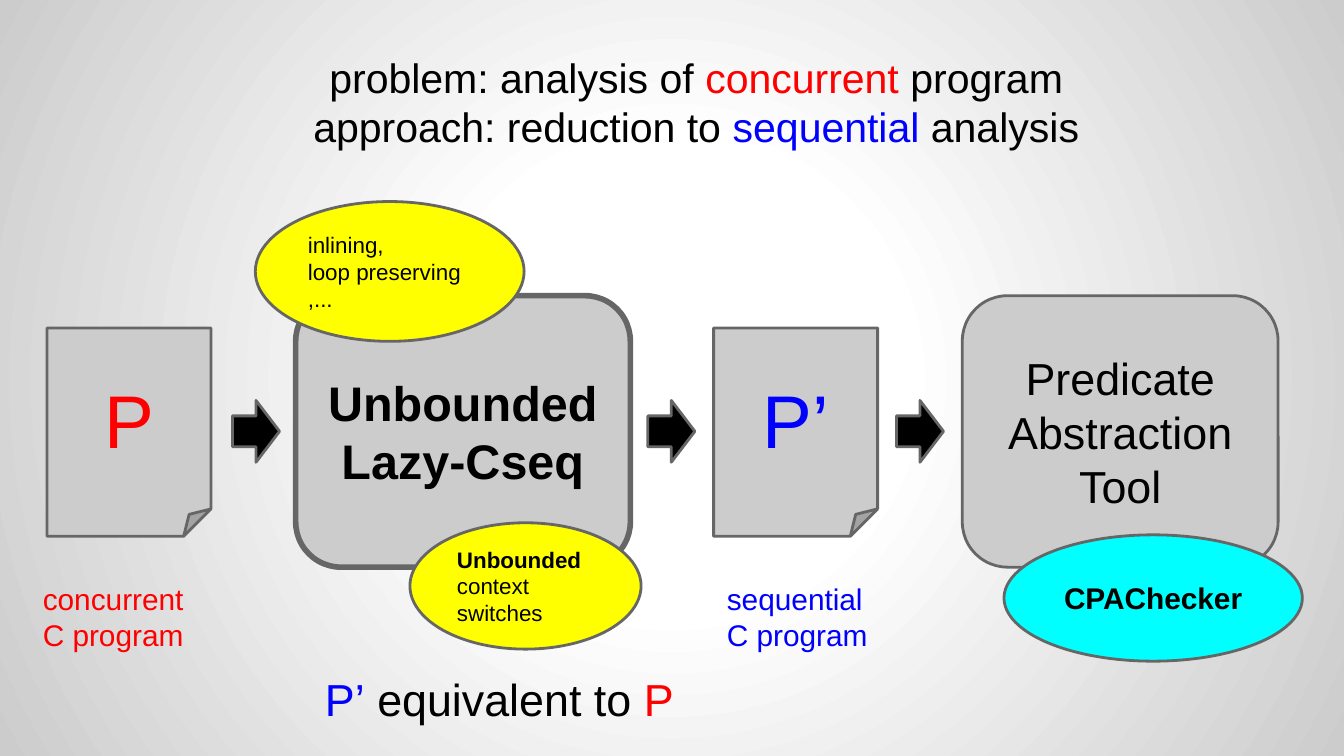
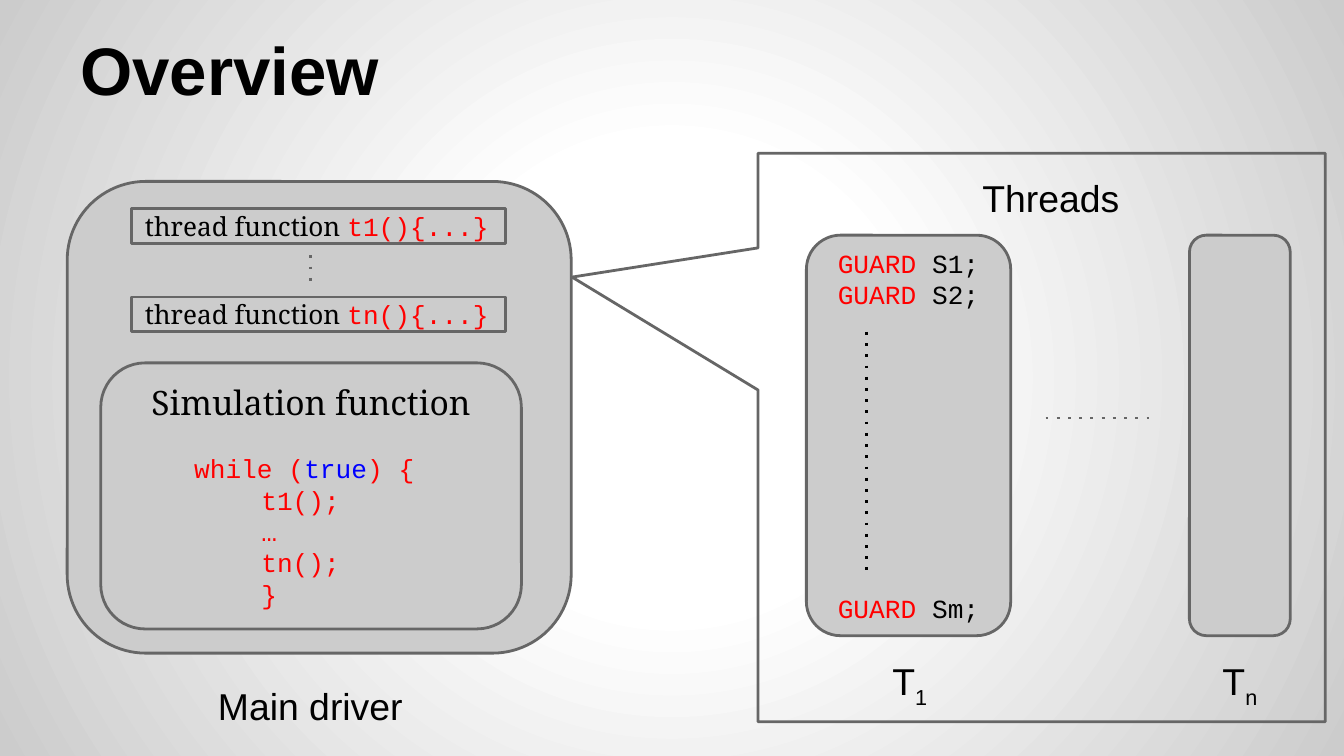
from pptx import Presentation
from pptx.dml.color import RGBColor as Rgb
from pptx.enum.shapes import MSO_CONNECTOR as Conn, MSO_SHAPE as Kind
from pptx.enum.text import MSO_ANCHOR as Anchor, PP_ALIGN as Align
from pptx.oxml import parse_xml
from pptx.oxml.ns import nsdecls
from pptx.util import Inches, Pt

HUE = {
    "ink": "000000", "red": "FF0000", "blue": "0000FF", "gray": "CCCCCC",
    "edge": "666666", "white": "FFFFFF", "sun": "FFFF00", "aqua": "00FFFF",
}
SANS, MONO, SERIF = "Arial", "Courier New", "Noto Serif"
RED, BLUE = {"hue": "red"}, {"hue": "blue"}
CODE = {"face": MONO, "hue": "red"}
LEFT, MID = Align.LEFT, Align.CENTER


def tint(name):
    """Return the named colour."""
    return Rgb.from_string(HUE[name])


def style(run, size=14, face=SANS, hue="ink", bold=False, base=None):
    """Format one run."""
    font = run.font
    font.size, font.name, font.bold = Pt(size), face, bold
    font.color.rgb = tint(hue)
    if base:
        font._element.set("baseline", str(base * 1000))


def write(shape, *rows, align=MID, anchor=Anchor.MIDDLE, **form):
    """Fill a shape with rows of runs, each a string or a (string, format) pair."""
    frame = shape.text_frame
    frame.word_wrap, frame.vertical_anchor = True, anchor
    frame.margin_left = frame.margin_right = Inches(0.1)
    frame.margin_top = frame.margin_bottom = Inches(0.1)
    for i, row in enumerate(rows):
        para = frame.paragraphs[0] if i == 0 else frame.add_paragraph()
        para.alignment = align
        for part in [row] if isinstance(row, str) else row:
            text, more = (part, {}) if isinstance(part, str) else part
            run = para.add_run()
            run.text = text
            style(run, **{**form, **more})
    return frame.paragraphs


def indent(para, left, first):
    """Set the left margin and first-line indent of a paragraph."""
    props = para._p.get_or_add_pPr()
    props.set("marL", str(Inches(left)))
    props.set("indent", str(Inches(first)))


def draw(slide, kind, box, fill="gray", width=1.5, adj=()):
    """Add an outlined preset shape."""
    shape = slide.shapes.add_shape(kind, *map(Inches, box))
    shape.shadow.inherit = False
    if fill:
        shape.fill.solid()
        shape.fill.fore_color.rgb = tint(fill)
    else:
        shape.fill.background()
    shape.line.color.rgb, shape.line.width = tint("edge"), Pt(width)
    for i, value in enumerate(adj):
        shape.adjustments[i] = value
    return shape


def label(slide, box, *rows, anchor=Anchor.TOP, **form):
    """Add a plain text box."""
    area = slide.shapes.add_textbox(*map(Inches, box))
    return write(area, *rows, anchor=anchor, **form)


def dots(slide, x, y, wide=0, high=0, hue="edge"):
    """Add a dotted line."""
    line = slide.shapes.add_connector(
        Conn.STRAIGHT, *map(Inches, (x, y, x + wide, y + high)))
    line.line.color.rgb, line.line.width = tint(hue), Pt(1.5)
    props = line._element.spPr
    props.get_or_add_ln().append(
        parse_xml(f'<a:prstDash {nsdecls("a")} val="dot"/>'))
    props.append(parse_xml(f"<a:effectLst {nsdecls('a')}/>"))


def page(deck):
    """Add a blank slide with the shared radial background."""
    slide = deck.slides.add_slide(deck.slide_layouts[6])
    stops = "".join(
        f'<a:gs pos="{pos * 1000}"><a:srgbClr val="{HUE[name]}"/></a:gs>'
        for pos, name in ((0, "white"), (30, "white"), (100, "gray")))
    slide._element.cSld.insert(0, parse_xml(
        f"<p:bg {nsdecls('p', 'a')}><p:bgPr><a:gradFill><a:gsLst>{stops}</a:gsLst>"
        '<a:path path="circle"><a:fillToRect l="50000" t="50000" r="50000" b="50000"/>'
        "</a:path></a:gradFill><a:effectLst/></p:bgPr></p:bg>"))
    return slide


def source(slide, x, y, mark, word, hue, shift=0):
    """Draw a program sheet with its caption."""
    sheet = draw(slide, Kind.FOLDED_CORNER, (x, y, 1.22, 1.55))
    write(sheet, mark, size=40, hue=hue)
    label(slide, (x + shift, y + 1.78, 1.49, 0.59), word, "C program",
          size=16, hue=hue, align=LEFT)


def encoder(slide, x, y):
    """Draw the translation stage with its two notes."""
    core = draw(slide, Kind.ROUNDED_RECTANGLE, (x, y, 2.49, 2.02), width=3)
    write(core, "Unbounded Lazy-Cseq", size=26, bold=True)
    top = draw(slide, Kind.OVAL, (x - 0.3, y - 0.7, 2, 1.04), "sun")
    write(top, "inlining,", "loop preserving", ",...", size=12, align=LEFT)
    low = draw(slide, Kind.OVAL, (x + 0.85, y + 1.69, 1.72, 0.94), "sun")
    write(low, [("Unbounded", {"bold": True}), " context switches"],
          size=12, align=LEFT)


def checker(slide, x, y):
    """Draw the analysis stage with its tool."""
    core = draw(slide, Kind.ROUNDED_RECTANGLE, (x, y, 2.35, 2.02))
    write(core, "Predicate Abstraction Tool", size=24)
    tool = draw(slide, Kind.OVAL, (x + 0.31, y + 1.78, 2.22, 0.94), "aqua")
    write(tool, "CPAChecker", size=16, bold=True)


def approach(deck):
    """Build the slide on the reduction approach."""
    slide = page(deck)
    source(slide, 0.35, 2.44, "P", "concurrent", "red", -0.13)
    encoder(slide, 2.2, 2.2)
    source(slide, 5.31, 2.44, "P’", "sequential", "blue")
    checker(slide, 7.16, 2.2)
    for x in (1.73, 4.82, 6.67):
        draw(slide, Kind.RIGHT_ARROW, (x, 2.98, 0.35, 0.46), "ink")
    label(slide, (2.07, 0.29, 6.22, 0.94),
          ["problem: analysis of ", ("concurrent", RED), " program"],
          ["approach: reduction to ", ("sequential", BLUE), " analysis"], size=22)
    label(slide, (1.32, 4.9, 4.79, 0.73),
          [("P’", BLUE), " equivalent to ", ("P", RED)], size=24)


def threads(slide, x, y):
    """Draw the callout that details the threads."""
    draw(slide, Kind.ROUNDED_RECTANGULAR_CALLOUT, (x, y, 4.22, 4.23), None,
         adj=(-0.828, -0.282, 0))
    label(slide, (x + 1.1, y + 0.06, 2.16, 0.41), "Threads", size=20)
    first = draw(slide, Kind.ROUNDED_RECTANGLE, (x + 0.36, y + 0.61, 1.52, 2.98))
    rows = [[("GUARD", RED), f" {name};"] for name in ("S1", "S2", "Sm")]
    paras = write(first, *rows, face=MONO)
    paras[-1].space_before = Pt(151)
    dots(slide, x + 0.81, y + 1.33, high=1.8, hue="ink")
    dots(slide, x + 2.14, y + 1.97, wide=0.82)
    draw(slide, Kind.ROUNDED_RECTANGLE, (x + 3.21, y + 0.61, 0.75, 2.98))
    for left, width, sub in ((0.4, 1.46, "1"), (2.73, 1.71, "n")):
        label(slide, (x + left, y + 3.66, width, 0.41),
              ["T", (sub, {"base": -25})], size=20)


def loop(slide, x, y):
    """Draw the simulation function."""
    body = draw(slide, Kind.ROUNDED_RECTANGLE, (x, y, 3.13, 1.98))
    lines = [[(text, CODE)] for text in ("t1();", "…", "tn();", "}")]
    paras = write(
        body, [("Simulation function", {"size": 18, "face": SERIF})],
        [("while (", CODE), ("true", {**CODE, **BLUE}), (") {", CODE)], *lines)
    paras[1].space_before = Pt(16)
    for i, para in enumerate(paras[1:]):
        para.alignment = LEFT
        indent(para, 0.5 if i else 0, 0.5)


def driver(slide, x, y):
    """Draw the main driver and its functions."""
    draw(slide, Kind.ROUNDED_RECTANGLE, (x, y, 3.75, 3.51))
    for top, name in ((0.2, "t1"), (0.86, "tn")):
        bar = draw(slide, Kind.RECTANGLE, (x + 0.48, y + top, 2.78, 0.26))
        write(bar, ["thread function ", (name + "(){...}", CODE)],
              face=SERIF, align=LEFT)
    dots(slide, x + 1.81, y + 0.55, high=0.19)
    loop(slide, x + 0.25, y + 1.35)
    label(slide, (x + 0.73, y + 3.63, 2.16, 0.41), "Main driver", size=20)


def overview(deck):
    """Build the overview slide."""
    slide = page(deck)
    label(slide, (0.5, 0.04, 9, 0.94), "Overview", size=36, bold=True,
          align=LEFT, anchor=Anchor.MIDDLE)
    threads(slide, 5.64, 1.14)
    driver(slide, 0.5, 1.35)


def main():
    """Build and save the deck."""
    deck = Presentation()
    deck.slide_width, deck.slide_height = Inches(10), Inches(10 * 9 / 16)
    approach(deck)
    overview(deck)
    deck.save("out.pptx")


if __name__ == "__main__":
    main()
